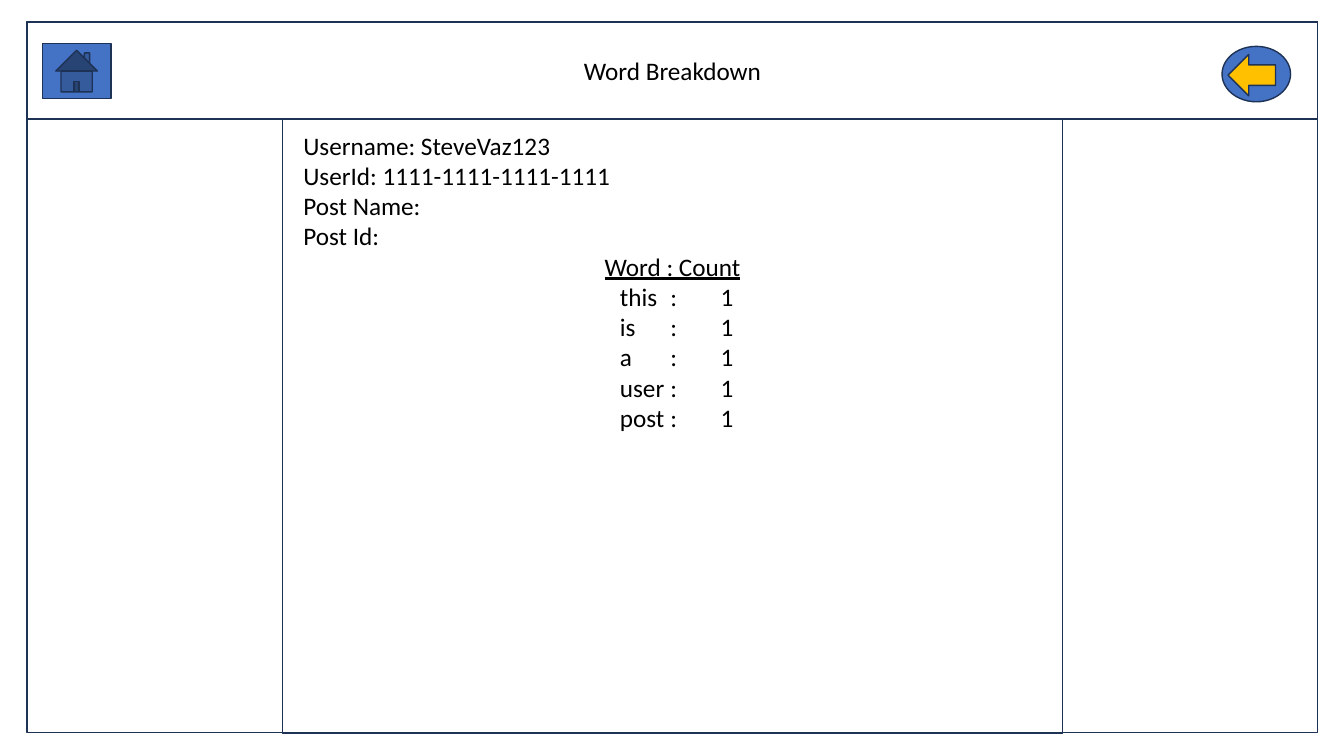
from pptx import Presentation
from pptx.dml.color import RGBColor
from pptx.enum.shapes import MSO_SHAPE as SHAPE
from pptx.enum.text import MSO_ANCHOR as ANCHOR, PP_ALIGN as ALIGN
from pptx.oxml.ns import qn
from pptx.util import Inches, Pt
from lxml.etree import SubElement

COLORS = {"line": "1E3256", "blue": "4472C4", "gold": "FFC000", "text": "000000"}


def add_box(s, kind, x, y, w, h, fill=None):
    """Add an outlined preset shape, filled when a colour name is given."""
    sp = s.shapes.add_shape(kind, Inches(x), Inches(y), Inches(w), Inches(h))
    sp.shadow.inherit = False
    sp.line.color.rgb = RGBColor.from_string(COLORS["line"])
    sp.line.width = Pt(1)
    if fill:
        sp.fill.solid()
        sp.fill.fore_color.rgb = RGBColor.from_string(COLORS[fill])
    else:
        sp.fill.background()
    return sp


def add_text(tf, text, align=ALIGN.LEFT, underline=False, indent=0, tabs=()):
    """Write one paragraph, with an optional left indent and tab stops in inches."""
    p = tf.paragraphs[0] if not tf.text else tf.add_paragraph()
    p.alignment = align
    r = p.add_run()
    r.text = text
    r.font.name = "Calibri"
    r.font.size = Pt(18)
    r.font.underline = underline
    r.font.color.rgb = RGBColor.from_string(COLORS["text"])
    if tabs:
        pPr = p._p.get_or_add_pPr()
        pPr.set("marL", str(Inches(indent)))
        pPr.set("indent", "0")
        tab_list = SubElement(pPr, qn("a:tabLst"))
        for pos in tabs:
            SubElement(tab_list, qn("a:tab"), pos=str(Inches(pos)), algn="l")


prs = Presentation()
prs.slide_width, prs.slide_height = Inches(13.33), Inches(7.5)
s = prs.slides.add_slide(prs.slide_layouts[6])

# Page frame, centre column and header
add_box(s, SHAPE.RECTANGLE, 0.27, 0.22, 12.8, 7.05)
add_box(s, SHAPE.RECTANGLE, 2.8, 1.18, 7.74, 6.1)
header = add_box(s, SHAPE.RECTANGLE, 0.27, 0.22, 12.8, 0.96)
header.text_frame.vertical_anchor = ANCHOR.MIDDLE
add_text(header.text_frame, "Word Breakdown", align=ALIGN.CENTER)

# Post details and word counts
details = s.shapes.add_textbox(Inches(2.91), Inches(1.24), Inches(7.52), Inches(3.43))
tf = details.text_frame
tf.word_wrap = True
for line in ("Username: SteveVaz123", "UserId: 1111-1111-1111-1111",
             "Post Name:", "Post Id:"):
    add_text(tf, line)
add_text(tf, "Word : Count", align=ALIGN.CENTER, underline=True)
for word in ("this", "is", "a", "user", "post"):
    add_text(tf, f"{word}\t:\t1", indent=3.14, tabs=(3.74, 4.04))

# Navigation buttons
add_box(s, SHAPE.ACTION_BUTTON_HOME, 0.42, 0.43, 0.68, 0.55, fill="blue")
add_box(s, SHAPE.OVAL, 12.12, 0.46, 0.68, 0.55, fill="blue")
back = add_box(s, SHAPE.RIGHT_ARROW, 12.18, 0.54, 0.47, 0.41, fill="gold")
back.rotation = 180

prs.save("out.pptx")
